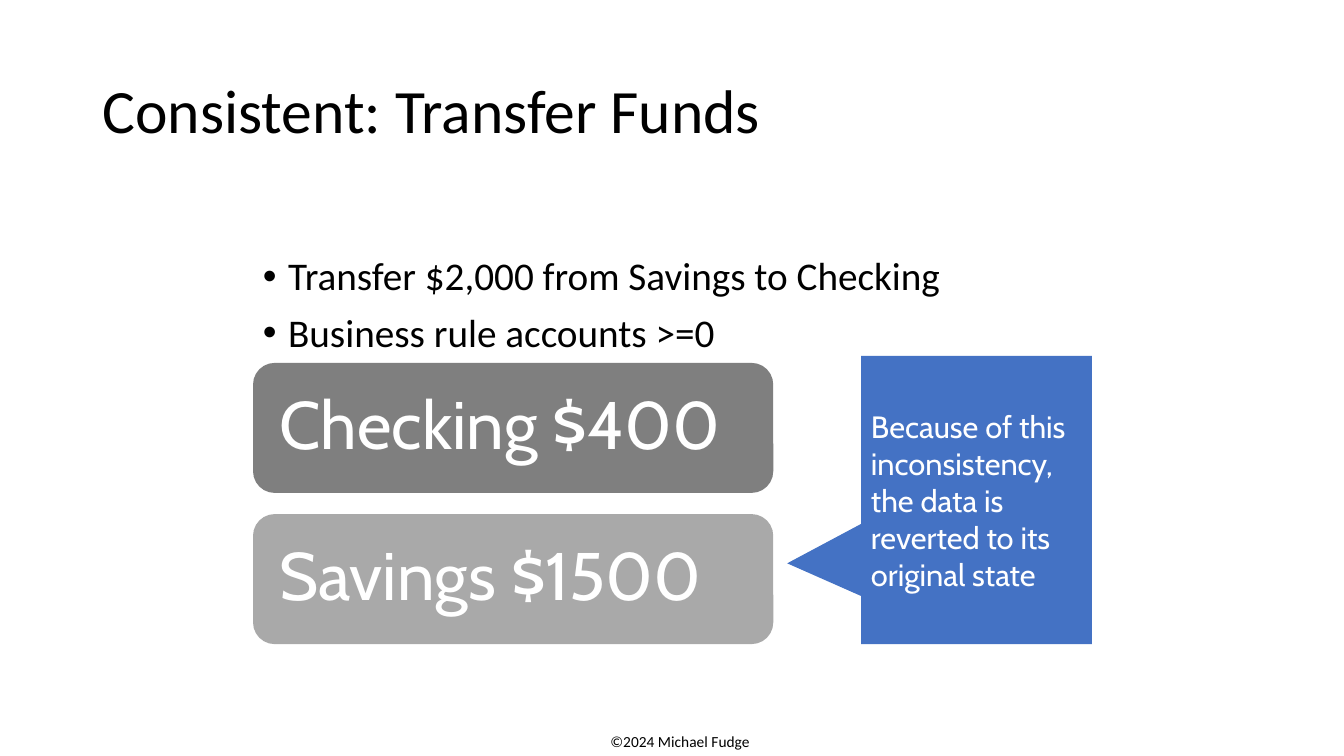
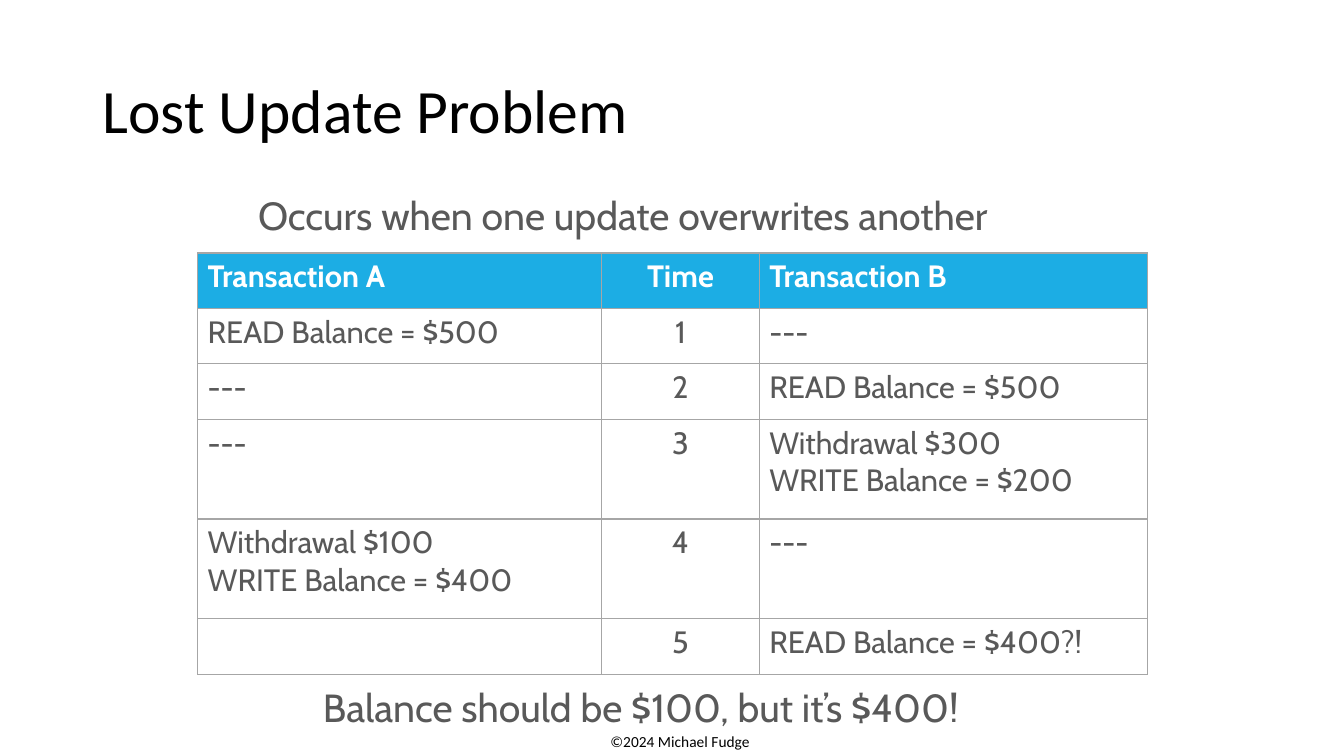
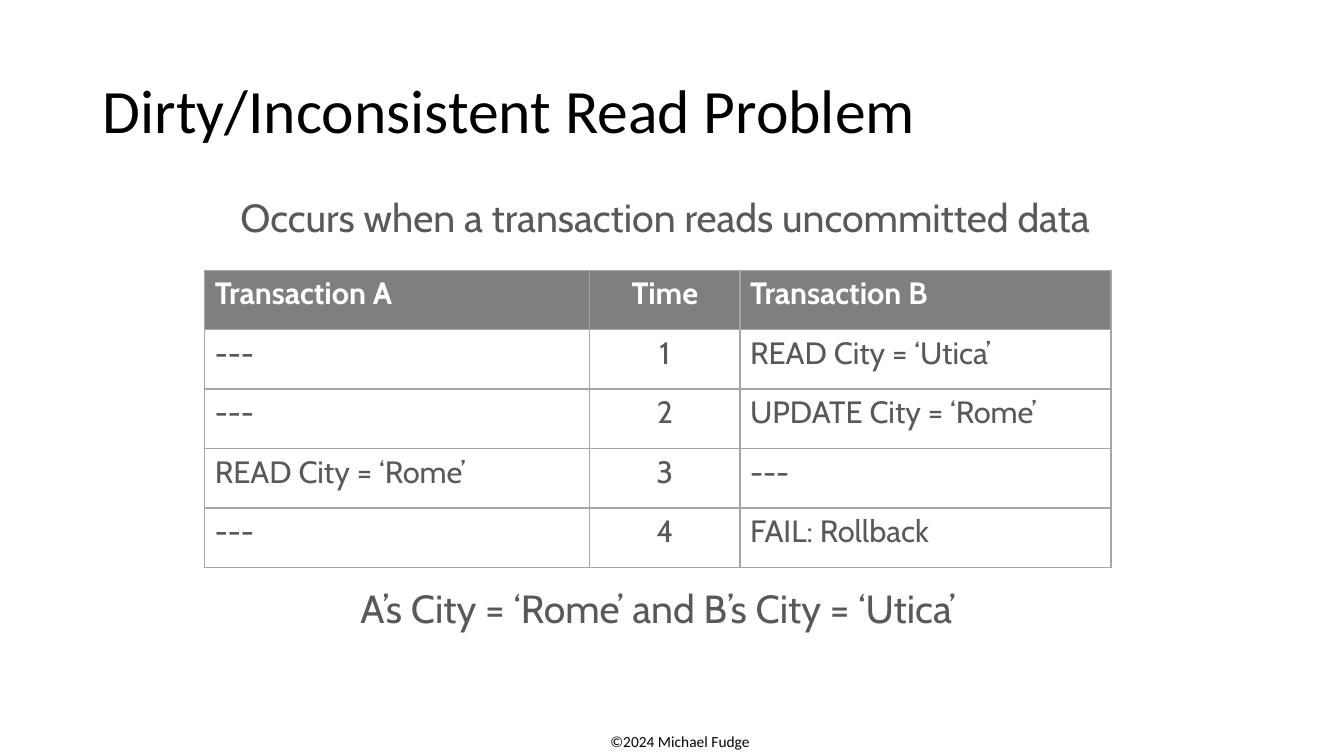
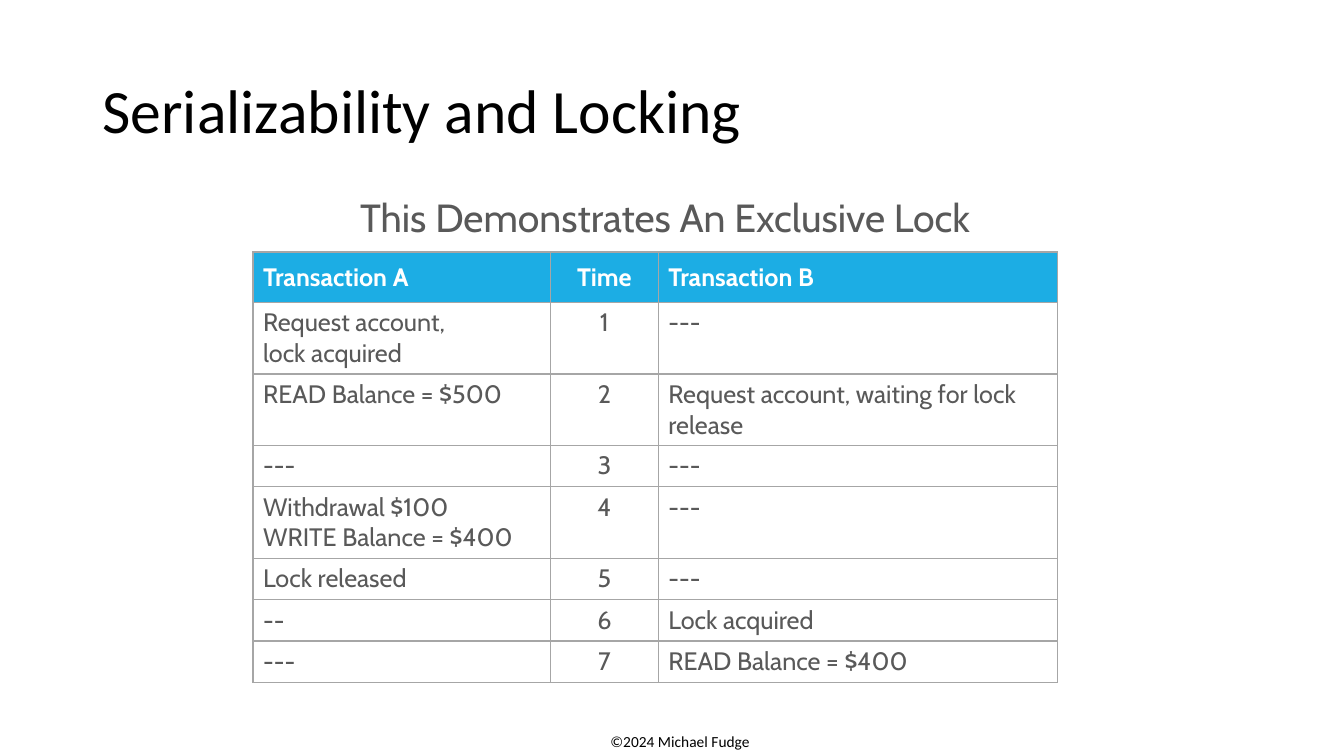
"""Build four slides on database transactions, their problems and locking."""
import dataclasses

import lxml.etree
import pptx
import pptx.dml.color
import pptx.enum.shapes
import pptx.enum.text
import pptx.oxml
import pptx.oxml.ns
import pptx.util

Inches = pptx.util.Inches
Pt = pptx.util.Pt
Color = pptx.dml.color.RGBColor.from_string
Align = pptx.enum.text.PP_ALIGN
Anchor = pptx.enum.text.MSO_ANCHOR
Kind = pptx.enum.shapes.MSO_SHAPE
qn = pptx.oxml.ns.qn


@dataclasses.dataclass(frozen=True)
class Theme:
    head: str = "Calibri"
    body: str = "Cabin"
    black: str = "000000"
    white: str = "FFFFFF"
    text: str = "595959"
    rule: str = "A6A6A6"
    sky: str = "1CADE4"
    blue: str = "4472C4"
    dark: str = "7F7F7F"
    light: str = "A9A9A9"
    title: int = 44
    account: int = 48
    note: int = 28
    cell: int = 22
    small: int = 18
    foot: int = 11


theme = Theme()


def write(frame, text, size, font, color, align=Align.LEFT, bold=False):
    """Fill a text frame with one paragraph and format it."""
    frame.word_wrap = True
    para = frame.paragraphs[0]
    para.text = text
    para.alignment = align
    for run in para.runs:
        run.font.size = Pt(size)
        run.font.name = font
        run.font.bold = bold
        run.font.color.rgb = Color(color)
    return para


def place(page, box, text, size, font, color, align=Align.LEFT, inset=0.05):
    """Add a text box and return it."""
    shape = page.shapes.add_textbox(*map(Inches, box))
    frame = shape.text_frame
    frame.margin_left = frame.margin_right = Inches(inset)
    frame.margin_top = frame.margin_bottom = Inches(0.05)
    write(frame, text, size, font, color, align)
    return shape


deck = pptx.Presentation()
deck.slide_width = Inches(13.33)
deck.slide_height = Inches(7.5)

titles = [
    "Consistent: Transfer Funds",
    "Lost Update Problem",
    "Dirty/Inconsistent Read Problem",
    "Serializability and Locking",
]
pages = []
for title in titles:
    page = deck.slides.add_slide(deck.slide_layouts[6])
    place(page, (5.75, 7.21, 1.99, 0.29), "©2024 Michael Fudge",
          theme.foot, theme.head, theme.black, Align.CENTER, 0.1)
    head = place(page, (0.92, 0.4, 11.5, 1.45), title,
                 theme.title, theme.head, theme.black, inset=0.1)
    head.text_frame.vertical_anchor = Anchor.MIDDLE
    head.text_frame.paragraphs[0].line_spacing = 0.9
    pages.append(page)

page = pages[0]
points = ["Transfer $2,000 from Savings to Checking", "Business rule accounts >=0"]
frame = page.shapes.add_textbox(
    Inches(2.51), Inches(2.5), Inches(7.97), Inches(0.9)).text_frame
frame.word_wrap = True
frame.text = "\n".join(points)
for para in frame.paragraphs:
    para.line_spacing = 0.9
    para.space_before = Pt(10)
    font = para.runs[0].font
    font.size = Pt(theme.note)
    font.name = theme.head
    font.color.rgb = Color(theme.black)
    props = para._p.get_or_add_pPr()
    props.set("marL", str(Inches(0.25)))
    props.set("indent", str(-Inches(0.25)))
    lxml.etree.SubElement(props, qn("a:buFont")).set("typeface", "Arial")
    lxml.etree.SubElement(props, qn("a:buChar")).set("char", "•")

blocks = [
    (Kind.RECTANGULAR_CALLOUT, (8.54, 3.53, 2.29, 2.86), theme.blue, theme.cell, 0.1,
     "Because of this inconsistency, the data is reverted to its original state"),
    (Kind.ROUNDED_RECTANGLE, (2.51, 3.6, 5.16, 1.29), theme.dark, theme.account, 0.2,
     "Checking $400"),
    (Kind.ROUNDED_RECTANGLE, (2.51, 5.1, 5.16, 1.29), theme.light, theme.account, 0.2,
     "Savings $1500"),
]
for kind, box, fill, size, inset, text in blocks:
    shape = page.shapes.add_shape(kind, *map(Inches, box))
    shape.shadow.inherit = False
    shape.fill.solid()
    shape.fill.fore_color.rgb = Color(fill)
    shape.line.fill.background()
    frame = shape.text_frame
    frame.margin_left = frame.margin_right = Inches(inset)
    frame.vertical_anchor = Anchor.MIDDLE
    para = write(frame, text, size, theme.body, theme.white)
    if kind == Kind.RECTANGULAR_CALLOUT:
        shape.adjustments[0] = -0.82
        shape.adjustments[1] = 0.22
    else:
        para.line_spacing = 0.9

header = ("Transaction A", "Time", "Transaction B")
tables = [
    (pages[1], (1.96, 2.51), (4.01, 1.56, 3.85),
     (0.55, 0.55, 0.55, 0.99, 0.99, 0.55), theme.sky, theme.cell, Anchor.TOP, [
         ("READ Balance = $500", "---"),
         ("---", "READ Balance = $500"),
         ("---", "Withdrawal $300\nWRITE Balance = $200"),
         ("Withdrawal $100\nWRITE Balance = $400", "---"),
         ("", "READ Balance = $400?!"),
     ]),
    (pages[2], (2.03, 2.68), (3.82, 1.49, 3.68),
     (0.59,) * 5, theme.dark, theme.cell, Anchor.TOP, [
         ("---", "READ City = ‘Utica’"),
         ("---", "UPDATE City = ‘Rome’"),
         ("READ City = ‘Rome’", "---"),
         ("---", "FAIL: Rollback"),
     ]),
    (pages[3], (2.51, 2.5), (2.95, 1.07, 3.96),
     (0.5, 0.71, 0.71, 0.41, 0.71, 0.41, 0.41, 0.41), theme.sky, theme.small,
     Anchor.MIDDLE, [
         ("Request account,\nlock acquired", "---"),
         ("READ Balance = $500", "Request account, waiting for lock release"),
         ("---", "---"),
         ("Withdrawal $100\nWRITE Balance = $400", "---"),
         ("Lock released", "---"),
         ("--", "Lock acquired"),
         ("---", "READ Balance = $400"),
     ]),
]
for page, spot, widths, heights, fill, size, anchor, steps in tables:
    rows = [header] + [(a, str(time), b) for time, (a, b) in enumerate(steps, 1)]
    extent = (*spot, sum(widths), sum(heights))
    table = page.shapes.add_table(len(rows), 3, *map(Inches, extent)).table
    table.horz_banding = False
    for col, width in zip(table.columns, widths):
        col.width = Inches(width)
    for r, (texts, height) in enumerate(zip(rows, heights)):
        table.rows[r].height = Inches(height)
        top = r == 0
        for c, text in enumerate(texts):
            cell = table.cell(r, c)
            props = cell._tc.get_or_add_tcPr()
            for side in ("lnL", "lnR", "lnT", "lnB"):
                line = lxml.etree.SubElement(props, qn("a:" + side), w=str(Pt(1)))
                solid = lxml.etree.SubElement(line, qn("a:solidFill"))
                lxml.etree.SubElement(solid, qn("a:srgbClr"), val=theme.rule)
            cell.fill.solid()
            cell.fill.fore_color.rgb = Color(fill if top else theme.white)
            cell.vertical_anchor = anchor if top else Anchor.TOP
            write(cell.text_frame, text, size, theme.body,
                  theme.white if top else theme.text,
                  Align.CENTER if c == 1 else Align.LEFT, top)

notes = [
    (pages[1], (2.51, 1.85, 7.97, 0.46), Align.LEFT,
     "Occurs when one update overwrites another"),
    (pages[1], (2.37, 6.73, 7.97, 0.46), Align.CENTER,
     "Balance should be $100, but it’s $400!"),
    (pages[2], (2.03, 1.87, 9.13, 0.46), Align.CENTER,
     "Occurs when a transaction reads uncommitted data"),
    (pages[2], (2.54, 5.75, 7.97, 0.46), Align.CENTER,
     "A’s City = ‘Rome’ and B’s City = ‘Utica’"),
    (pages[3], (2.03, 1.87, 9.13, 0.46), Align.CENTER,
     "This Demonstrates An Exclusive Lock"),
]
for page, box, align, text in notes:
    place(page, box, text, theme.note, theme.body, theme.text, align)

deck.save("out.pptx")
